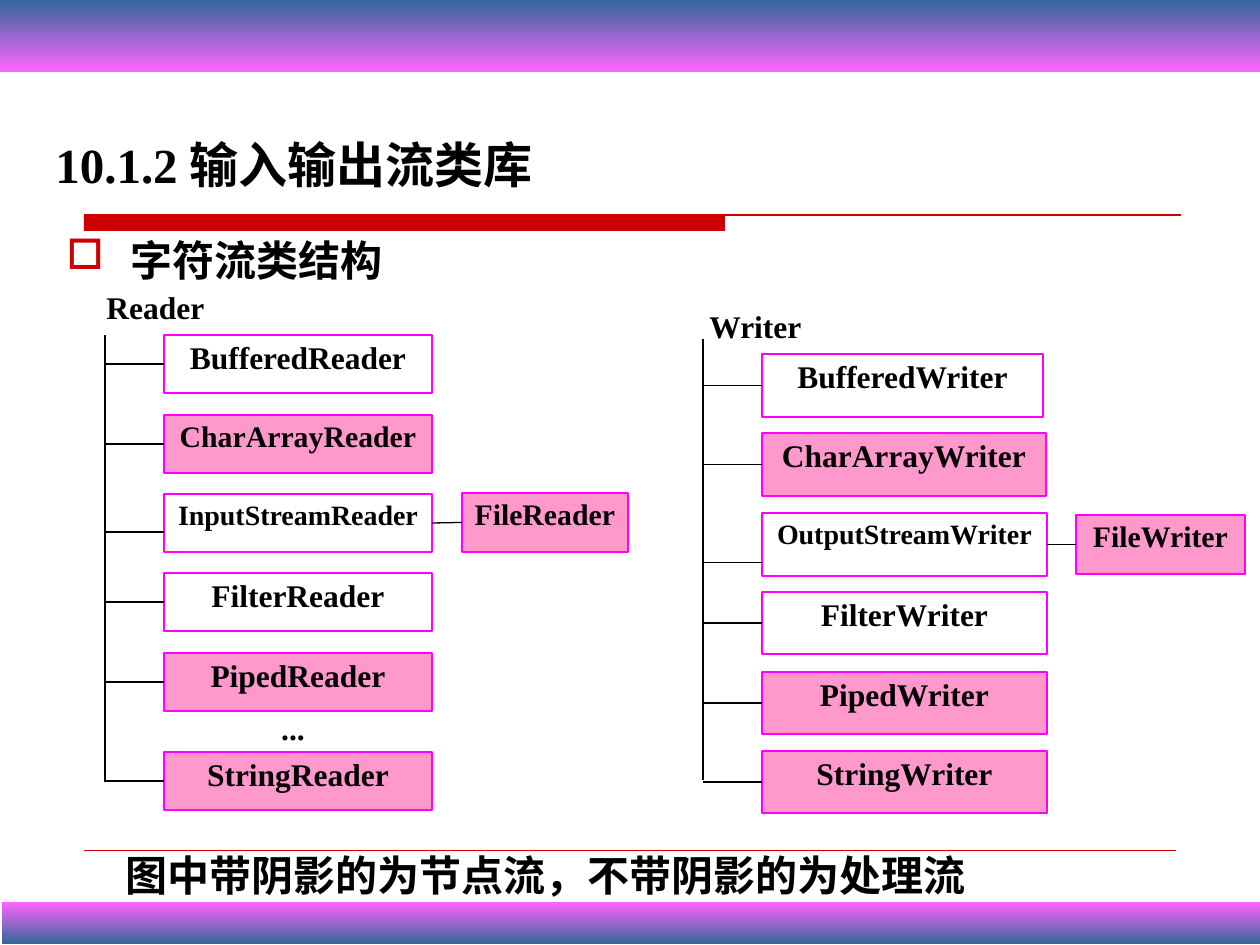
import pptx
import pptx.dml.color
import pptx.enum.shapes
import pptx.enum.text
import pptx.oxml
import pptx.oxml.ns
import pptx.util
import lxml.etree

RGBColor = pptx.dml.color.RGBColor
BLACK = RGBColor(0x00, 0x00, 0x00)
RED = RGBColor(0xCC, 0x00, 0x00)
MAGENTA = RGBColor(0xFF, 0x00, 0xFF)
PINK = RGBColor(0xFF, 0x99, 0xCC)
BAND_PINK = RGBColor(0xFF, 0x66, 0xFF)
BAND_BLUE = RGBColor(0x33, 0x66, 0x99)

FONT = "Times New Roman"
EMU_PER_PX = 914400 / 126
RECTANGLE = pptx.enum.shapes.MSO_SHAPE.RECTANGLE
CENTER = pptx.enum.text.PP_ALIGN.CENTER
BOTTOM = pptx.enum.text.MSO_ANCHOR.BOTTOM
TOP = pptx.enum.text.MSO_ANCHOR.TOP
LEFT_SIDE, RIGHT_SIDE = 1, 3

# Name, font size, shaded, top, width, height, connector offset from the middle
READERS = [
    ("BufferedReader", 18, False, 335, 268, 58, 0),
    ("CharArrayReader", 17, True, 415, 268, 58, 0),
    ("InputStreamReader", 16, False, 494, 268, 58, 9),
    ("FilterReader", 18, False, 573, 268, 58, 0),
    ("PipedReader", 18, True, 653, 268, 58, 0),
    ("StringReader", 18, True, 752, 268, 58, 0),
]
WRITERS = [
    ("BufferedWriter", 18, False, 354, 281, 63, 0),
    ("CharArrayWriter", 18, True, 433, 284, 63, 0),
    ("OutputStreamWriter", 16, False, 513, 285, 63, 18),
    ("FilterWriter", 18, False, 592, 285, 62, 0),
    ("PipedWriter", 18, True, 672, 285, 62, 0),
    ("StringWriter", 18, True, 751, 285, 62, 0),
]


def px(*lengths):
    return [pptx.util.Emu(round(length * EMU_PER_PX)) for length in lengths]


def add_bullet(paragraph, indent):
    properties = paragraph._p.get_or_add_pPr()
    properties.set("marL", str(px(indent)[0]))
    properties.set("indent", str(-px(indent)[0]))
    qn = pptx.oxml.ns.qn
    color = lxml.etree.SubElement(properties, qn("a:buClr"))
    lxml.etree.SubElement(color, qn("a:srgbClr")).set("val", str(RED))
    lxml.etree.SubElement(properties, qn("a:buChar")).set("char", "□")


def write_text(shape, text, size, align=None, spacing=0.8, inset=10,
               anchor=TOP, bullet=False):
    frame = shape.text_frame
    frame.word_wrap = True
    frame.vertical_anchor = anchor
    frame.margin_top, frame.margin_bottom = px(inset, 6)
    paragraph = frame.paragraphs[0]
    paragraph.text = text
    paragraph.alignment = align
    paragraph.line_spacing = spacing
    if bullet:
        add_bullet(paragraph, 64)
    paragraph.font.name = FONT
    paragraph.font.size = pptx.util.Pt(size)
    paragraph.font.bold = True
    paragraph.font.color.rgb = BLACK


def add_label(slide, box, text, size, **options):
    write_text(slide.shapes.add_textbox(*px(*box)), text, size, **options)


def add_rectangle(slide, box):
    shape = slide.shapes.add_shape(RECTANGLE, *px(*box))
    shape.shadow.inherit = False
    shape.line.fill.background()
    return shape


def add_class_box(slide, box, name, size, shaded):
    shape = add_rectangle(slide, box)
    if shaded:
        shape.fill.solid()
        shape.fill.fore_color.rgb = PINK
    else:
        shape.fill.background()
    shape.line.color.rgb = MAGENTA
    shape.line.width = pptx.util.Pt(0.75)
    write_text(shape, name, size, align=CENTER)
    return shape


def add_line(slide, start, end, color=BLACK, width=0.75):
    line = slide.shapes.add_connector(
        pptx.enum.shapes.MSO_CONNECTOR.STRAIGHT, *px(*start, *end))
    line.line.color.rgb = color
    line.line.width = pptx.util.Pt(width)
    lxml.etree.SubElement(line._element.spPr, pptx.oxml.ns.qn("a:effectLst"))
    return line


def add_gradient_band(slide, box, top_color, bottom_color):
    fill = add_rectangle(slide, box).fill
    fill.gradient()
    fill.gradient_angle = 270
    for stop, color, position in zip(
            fill.gradient_stops, (top_color, bottom_color), (0, 1)):
        stop.color.rgb = color
        stop.position = position


def add_class_tree(slide, trunk_x, trunk_top, trunk_bottom, classes):
    """Draw the trunk with one joined box per class; return the boxes."""
    add_line(slide, (trunk_x, trunk_bottom), (trunk_x, trunk_top))
    left = trunk_x + 59
    boxes = {}
    for name, size, shaded, top, width, height, offset in classes:
        box = add_class_box(slide, (left, top, width, height),
                            name, size, shaded)
        y = top + height / 2 + offset
        branch = add_line(slide, (trunk_x, y), (left, y))
        if offset == 0:
            branch.end_connect(box, LEFT_SIDE)
        boxes[name] = box
    return boxes


def add_subclass(slide, parent, box, name):
    child = add_class_box(slide, box, name, 17, True)
    link = add_line(slide, (0, 0), (1, 1))
    link.begin_connect(parent, RIGHT_SIDE)
    link.end_connect(child, LEFT_SIDE)


def main():
    presentation = pptx.Presentation()
    presentation.slide_width, presentation.slide_height = px(1260, 945)
    slide = presentation.slides.add_slide(presentation.slide_layouts[6])

    # Rules below the title and above the footer text
    bar = add_rectangle(slide, (84, 215, 641, 16))
    bar.fill.solid()
    bar.fill.fore_color.rgb = RED
    add_line(slide, (84, 215), (1181, 215), RED)
    add_line(slide, (84, 850), (1176, 850), RED, 0.25)

    # Bands at the top and bottom edges
    add_gradient_band(slide, (2, 902, 1260, 42), BAND_PINK, BAND_BLUE)
    add_gradient_band(slide, (0, 0, 1260, 72), BAND_BLUE, BAND_PINK)

    # Title, topic and footer text
    add_label(slide, (43, 106, 636, 93), "10.1.2 输入输出流类库", 28,
              spacing=1.0, inset=6, anchor=BOTTOM)
    add_label(slide, (54, 234, 420, 58), "字符流类结构", 24, bullet=True)
    add_label(slide, (113, 839, 1032, 79),
              "图中带阴影的为节点流，不带阴影的为处理流", 24, spacing=1.0)

    # Reader classes
    add_label(slide, (94, 285, 144, 59), "Reader", 18)
    readers = add_class_tree(slide, 105, 335, 782, READERS)
    add_subclass(slide, readers["InputStreamReader"],
                 (462, 493, 166, 59), "FileReader")
    add_label(slide, (164, 706, 258, 54), "...", 18, align=CENTER)

    # Writer classes
    add_label(slide, (697, 304, 137, 44), "Writer", 18)
    writers = add_class_tree(slide, 703, 339, 780, WRITERS)
    add_subclass(slide, writers["OutputStreamWriter"],
                 (1076, 515, 169, 59), "FileWriter")

    presentation.save("out.pptx")


if __name__ == "__main__":
    main()
